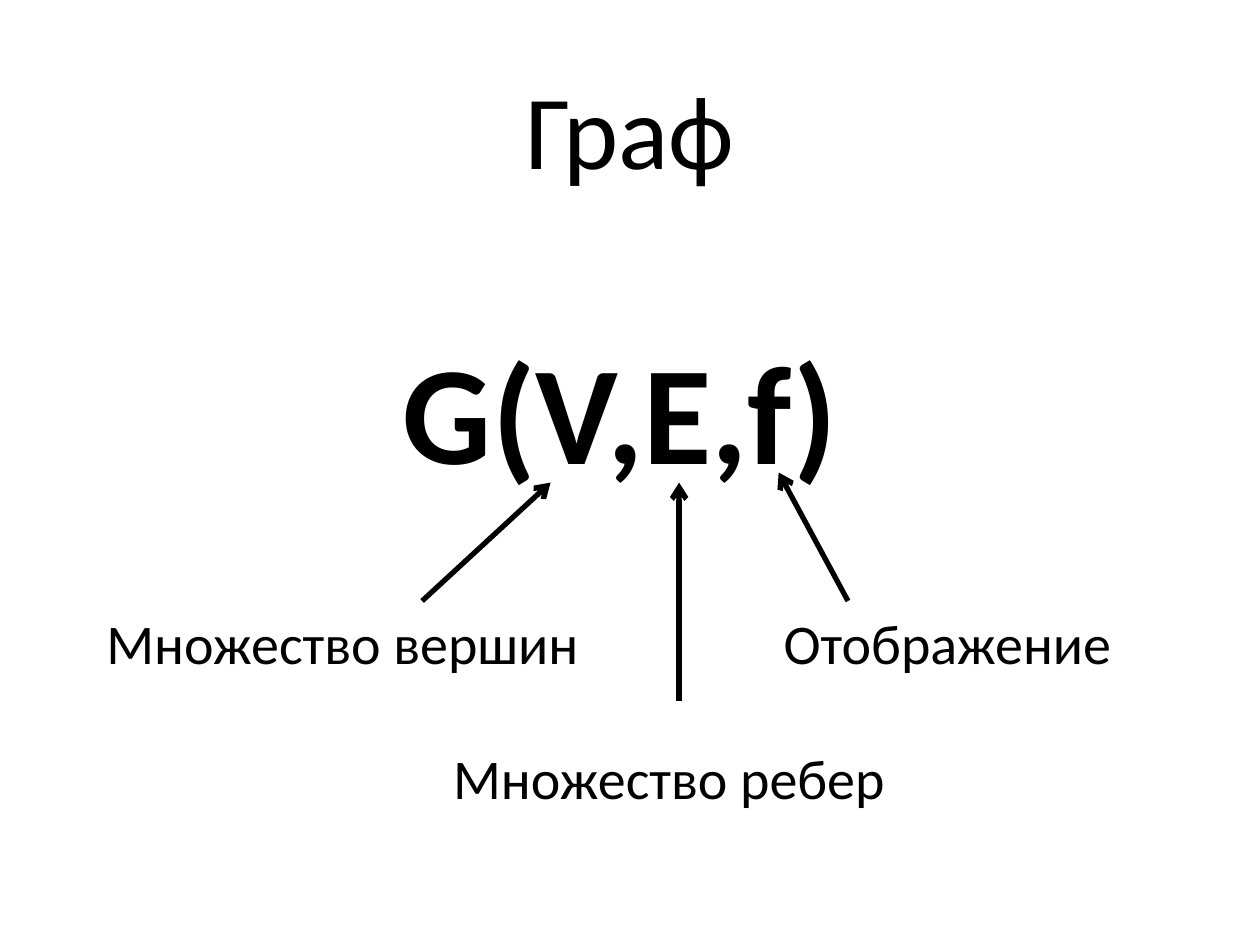
from pptx import Presentation
from pptx import util as u
from pptx.dml.color import RGBColor
from pptx.enum import shapes, text
from pptx.oxml.ns import qn
from lxml import etree

BLACK = RGBColor(0x00, 0x00, 0x00)
WHITE = RGBColor(0xFF, 0xFF, 0xFF)
PX = 9144


def write(tf, content, size=32, bold=False, color=BLACK, font="Calibri"):
    p = tf.paragraphs[0]
    p.alignment = text.PP_ALIGN.CENTER
    r = p.add_run()
    r.text = content
    r.font.name = font
    r.font.size = u.Pt(size)
    r.font.bold = bold
    r.font.color.rgb = color


class Slide:
    line_width = u.Pt(3)
    line_color = BLACK

    def __init__(self, prs):
        self.s = prs.slides.add_slide(prs.slide_layouts[6])
        fill = self.s.background.fill
        fill.solid()
        fill.fore_color.rgb = WHITE

    def text(self, content, x, y, w, h, bottom=5, **style):
        sp = self.s.shapes.add_textbox(x * PX, y * PX, w * PX, h * PX)
        tf = sp.text_frame
        tf.word_wrap = True
        tf.vertical_anchor = text.MSO_ANCHOR.MIDDLE
        tf.margin_bottom = bottom * PX
        write(tf, content, **style)

    def label(self, content, x, y):
        self.text(content, x, y, 488, 213, bottom=59)

    def arrow(self, x1, y1, x2, y2):
        sp = self.s.shapes.add_connector(
            shapes.MSO_CONNECTOR.STRAIGHT, x1 * PX, y1 * PX, x2 * PX, y2 * PX)
        sp.line.width = self.line_width
        sp.line.color.rgb = self.line_color
        etree.SubElement(sp.line._get_or_add_ln(), qn("a:tailEnd"), type="arrow")
        etree.SubElement(sp._element.spPr, qn("a:effectLst"))


def main():
    prs = Presentation()
    prs.slide_width, prs.slide_height = 1000 * PX, 750 * PX
    s = Slide(prs)
    s.text("G(V,E,f)", 280, 218, 425, 213, size=80, bold=True)
    s.text("Граф", 75, 21, 850, 161, size=60)
    s.label("Множество вершин", 28, 430)
    s.label("Множество ребер", 287, 537)
    s.arrow(335, 477, 437, 383)
    s.arrow(539, 556, 539, 383)
    s.label("Отображение", 508, 430)
    s.arrow(673, 477, 618, 375)
    prs.save("out.pptx")


if __name__ == "__main__":
    main()
